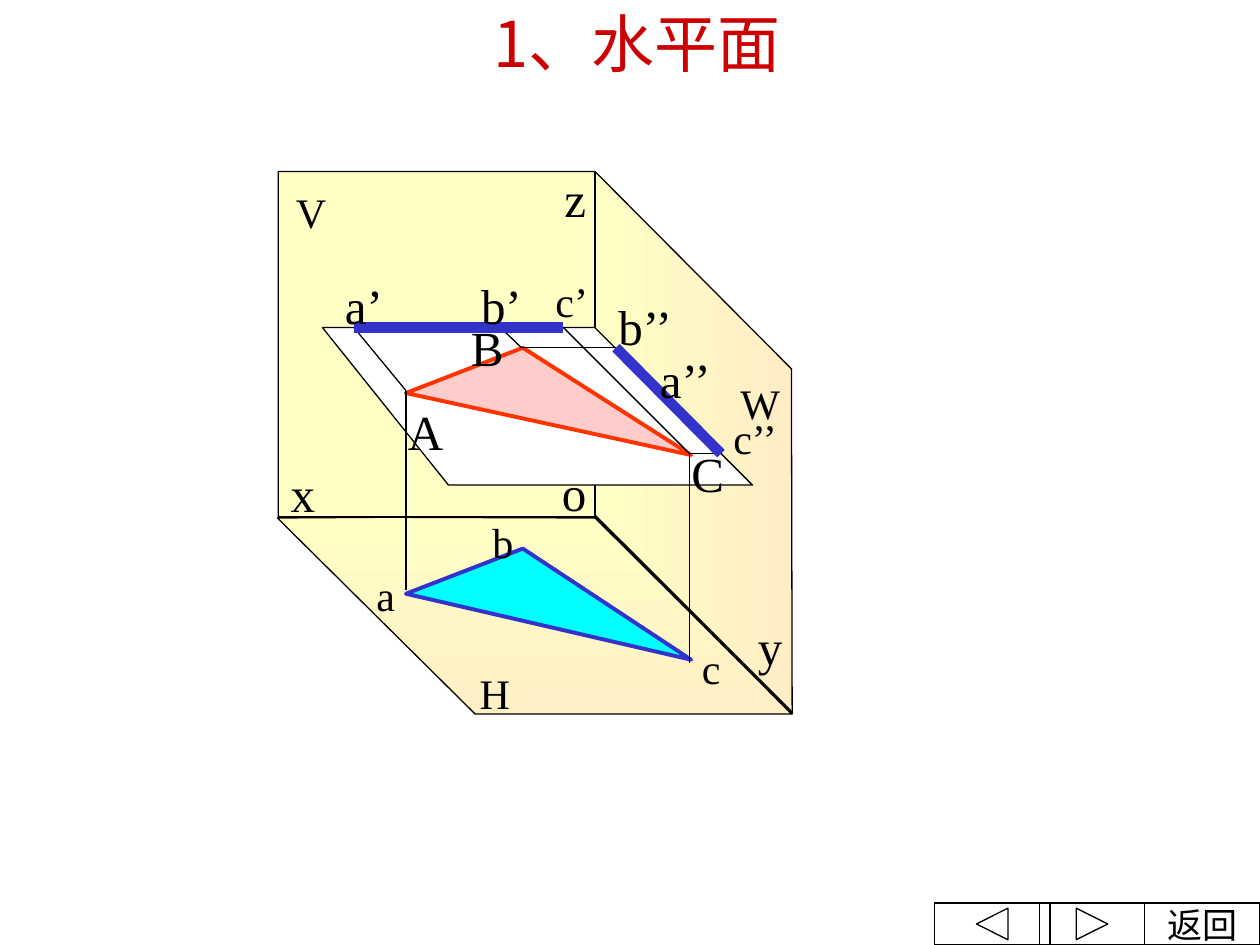
import pptx
import pptx.util
import pptx.dml.color
import pptx.enum.shapes
import pptx.enum.text
import lxml.etree

Pt = pptx.util.Pt
RGB = pptx.dml.color.RGBColor
ALIGN = pptx.enum.text.PP_ALIGN
MID = pptx.enum.text.MSO_ANCHOR.MIDDLE
TOP = pptx.enum.text.MSO_ANCHOR.TOP

BLACK = RGB(0x00, 0x00, 0x00)
WHITE = RGB(0xFF, 0xFF, 0xFF)
RED = RGB(0xCC, 0x00, 0x00)
CREAM = RGB(0xFF, 0xFE, 0xC5)
PEACH = RGB(0xFF, 0xF0, 0xC5)
SAND = RGB(0xFF, 0xEE, 0xC5)
PINK = RGB(0xFF, 0xCC, 0xCC)
FLAME = RGB(0xFF, 0x33, 0x00)
CYAN = RGB(0x00, 0xFF, 0xFF)
BLUE = RGB(0x33, 0x33, 0xCC)
LATIN, HAN = "Times New Roman", "Noto Sans CJK JP"

# Walls: points, fill (or two stops and an angle)
WALLS = [
    ([(271.5, 408), (158.5, 296), (339.5, 294.8), (452.3, 408)], (CREAM, PEACH, 270)),
    ([(452.7, 408), (340, 296), (340, 98), (452.3, 210.8)], (SAND, CREAM, 180)),
    ([(159, 295.4), (340, 296), (340, 98), (159, 98)], CREAM),
]
AXES = [((159, 295.4), (340, 295.4)), ((340, 98), (340, 295.4)),
        ((340, 294.8), (452.3, 407))]

# Labels: text, left, top, width, size
FRAME = [
    ("x", 159, 258.5, 29, 28), ("z", 315.4, 90, 34, 28), ("y", 426, 345.6, 27, 28),
    ("V", 162, 100, 30, 24), ("W", 416, 209.5, 36, 24), ("H", 267, 375, 42, 24),
    ("o", 314, 257.8, 36, 28),
]
SPACE = [("C", 388, 247, 54, 28), ("A", 226, 223.2, 48, 28), ("B", 262, 175, 54, 28)]
VIEWS = [
    ("a’’", 370, 193, 48, 28), ("b’’", 346.3, 162.7, 48, 28), ("c’", 310.3, 151.2, 54, 24),
    ("b", 274.3, 288.7, 18, 24), ("a", 208, 319, 24, 24), ("c", 394, 360.7, 18, 24),
    ("a’", 190, 151.2, 48, 28), ("b’", 267.8, 151.2, 48, 28), ("c’’", 412, 229, 54, 24),
]

# Level plane, triangle ABC and its plan view abc
PLANE = [(184.3, 187.2), (340, 187.2), (430, 277.2), (256.3, 277.2)]
SOLID = [(232, 224.6), (395, 260), (298.8, 198.7)]
PLAN = [(232, 339.3), (395, 377), (298.8, 313.5)]

# Corners and their front and side views
A, B, C = (232, 223.2), (298, 198.7), (394, 259.2)
A1, B1, C1 = (202.3, 187.2), (286, 187.2), (322, 187.2)
B2, C2 = (352, 198.7), (412, 259.2)
RAYS = [(A, (232, 337)), (B, B1), (A, A1), (C, C1), (C, C2), (B, B2),
        (C, (394, 378.7)), PLANE[:2]]
EDGES = [(A1, C1), (B2, C2)]

# Buttons: left, width, arrow points, text
BAR, FOOT = 516, 540
KEYS = [
    (653.8, 66.2, None, "返回"),
    (534, 66, [(558, 528), (576, 519), (576, 537)], None),
    (594, 60, [(615, 519), (633, 528), (615, 537)], None),
]

deck = pptx.Presentation()
deck.slide_width, deck.slide_height = Pt(720), Pt(540)
page = deck.slides.add_slide(deck.slide_layouts[6])
shapes = page.shapes


def put(thing, **vals):
    for key, val in vals.items():
        setattr(thing, key, val)


def emu(dots):
    return [(Pt(x), Pt(y)) for x, y in dots]


def draw(loops, fill=None, tint=BLACK, width=0.75):
    """Closed outline of one or more loops."""
    first, *rest = [emu(loop) for loop in loops]
    pen = shapes.build_freeform(*first[0])
    pen.add_line_segments(first[1:], close=True)
    for loop in rest:
        pen.move_to(*loop[0])
        pen.add_line_segments(loop[1:], close=True)
    shape = pen.convert_to_shape()
    shape.shadow.inherit = False
    if fill is None:
        shape.fill.background()
    elif isinstance(fill, RGB):
        shape.fill.solid()
        shape.fill.fore_color.rgb = fill
    else:
        shape.fill.gradient()
        shape.fill.gradient_angle = fill[2]
        for stop, hue in zip(shape.fill.gradient_stops, fill):
            stop.color.rgb = hue
    shape.line.color.rgb = tint
    shape.line.width = Pt(width)
    return shape


def link(start, end, tint=BLACK, width=0.75):
    line = shapes.add_connector(pptx.enum.shapes.MSO_CONNECTOR.STRAIGHT,
                                *emu([start])[0], *emu([end])[0])
    line.line.color.rgb = tint
    line.line.width = Pt(width)
    space = "{http://schemas.openxmlformats.org/drawingml/2006/main}"
    lxml.etree.SubElement(line._element.spPr, space + "effectLst")


def write(shape, text, size, tint=BLACK, font=LATIN, align=ALIGN.LEFT, **frame):
    put(shape.text_frame, **frame)
    para = shape.text_frame.paragraphs[0]
    para.alignment = align
    run = para.add_run()
    run.text = text
    put(run.font, size=Pt(size), name=font)
    run.font.color.rgb = tint
    space = "{http://schemas.openxmlformats.org/drawingml/2006/main}"
    lxml.etree.SubElement(run.font._element, space + "ea", typeface=HAN)


def label(text, left, top, width, size):
    high = 41 if size == 28 else 36
    box = shapes.add_textbox(Pt(left), Pt(top), Pt(width), Pt(high))
    write(box, text, size, word_wrap=True, vertical_anchor=TOP, margin_top=Pt(6.5))


# Three walls with their axes
for dots, fill in WALLS:
    draw([dots], fill)
for item in FRAME:
    label(*item)
for start, end in AXES:
    link(start, end, width=1.5)

# Title
head = shapes.add_textbox(0, 0, Pt(720), Pt(48))
write(head, "1、水平面", 36, RED, HAN, ALIGN.CENTER,
      word_wrap=True, vertical_anchor=MID, margin_left=Pt(15))

# Plane and triangle in space
draw([PLANE], WHITE)
draw([SOLID], PINK, FLAME, 2.25)
for item in SPACE:
    label(*item)

# Projections
draw([PLAN], CYAN, BLUE, 2.25)
for start, end in RAYS:
    link(start, end)
for start, end in EDGES:
    link(start, end, BLUE, 6)
for item in VIEWS:
    label(*item)

# Navigation buttons
for left, width, arrow, text in KEYS:
    right = left + width
    frame = [(left, BAR), (right, BAR), (right, FOOT), (left, FOOT)]
    key = draw([frame, arrow] if arrow else [frame])
    if text:
        write(key, text, 20, align=ALIGN.CENTER, word_wrap=False, vertical_anchor=MID)

deck.save("out.pptx")
